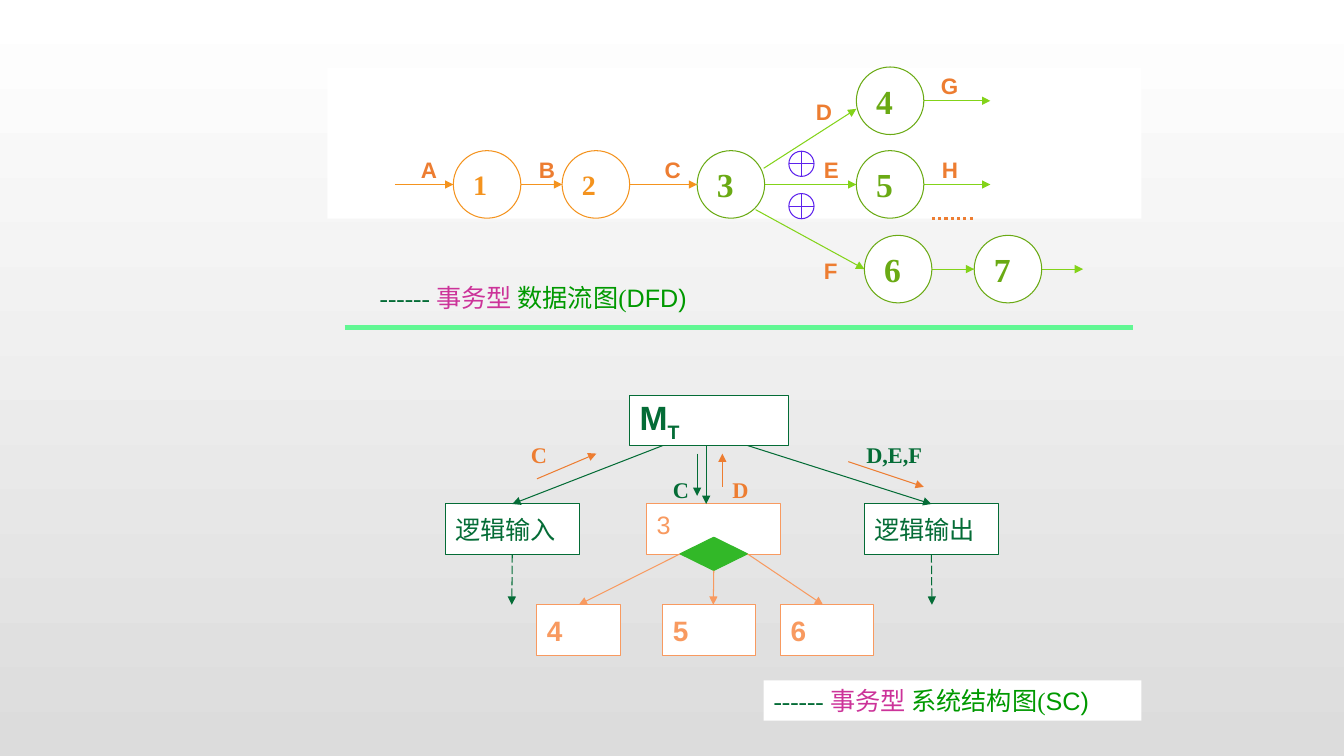
from lxml.etree import SubElement
from pptx import Presentation
from pptx.dml.color import RGBColor
from pptx.enum.dml import MSO_LINE
from pptx.enum.shapes import MSO_CONNECTOR, MSO_SHAPE
from pptx.enum.text import MSO_ANCHOR, MSO_AUTO_SIZE, PP_ALIGN
from pptx.oxml.ns import qn
from pptx.util import Inches, Pt

COLORS = {
    "white": "FFFFFF", "shade": "DCDCDC", "amber": "F4931E", "leaf": "6AAA14",
    "lime": "83D319", "orange": "ED7D31", "violet": "5C22EC", "pine": "046C36",
    "peach": "F89A60", "diamond": "32B828", "mint": "61F793", "pink": "CC3399",
    "green": "009900",
}
SERIF, SANS, CHINESE = "Times New Roman", "Arial", "Noto Sans CJK SC"

# Data flow diagram
DIAMETER = 0.67
ROWS = [1, 1.83, 2.67]  # centre heights
NODES = {  # number: left, row, colour, text size
    "1": (4.5, 1, "amber", 20), "2": (5.58, 1, "amber", 20),
    "3": (6.92, 1, "leaf", 24), "4": (8.5, 0, "leaf", 24),
    "5": (8.5, 1, "leaf", 24), "6": (8.58, 2, "leaf", 24),
    "7": (9.67, 2, "leaf", 24),
}
FLOWS = [  # node or x where it starts, node or x where it ends, colour
    (3.92, "1", "amber"), ("1", "2", "amber"), ("2", "3", "amber"),
    ("3", "5", "lime"), ("6", "7", "lime"), ("4", 9.83, "lime"),
    ("5", 9.83, "lime"), ("7", 10.75, "lime"),
]
BRANCHES = [((7.5, 2.08), (8.58, 2.67)), ((7.58, 1.67), (8.5, 1.08))]
CHOICE_TOPS = [1.92, 1.5]
FLOW_LABELS = [
    ("A", 4.08, 1.5), ("B", 5.25, 1.5), ("C", 6.5, 1.5), ("D", 8, 0.92),
    ("E", 8.08, 1.5), ("F", 8.08, 2.5), ("G", 9.24, 0.67), ("H", 9.25, 1.5),
]

# Structure chart
BOX_HEIGHT = 0.5
BOXES = {  # key: text, left, top, width, colour, size, font, bold
    "main": ("M", 6.25, 3.92, 1.58, "pine", 24, SANS, True),
    "input": ("逻辑输入", 4.42, 5, 1.33, "pine", 18, CHINESE, False),
    "centre": ("3", 6.42, 5, 1.33, "peach", 18, SANS, False),
    "output": ("逻辑输出", 8.58, 5, 1.33, "pine", 18, CHINESE, False),
    "four": ("4", 5.33, 6, 0.83, "peach", 20, SANS, True),
    "five": ("5", 6.58, 6, 0.92, "peach", 20, SANS, True),
    "six": ("6", 7.75, 6, 0.92, "peach", 20, SANS, True),
}
TOP, LEFT, BOTTOM, RIGHT = range(4)
CALLS = [  # start, end, colour, joined start, joined end
    ((7.01, 4.42), (7.01, 5), "pine", None, None),
    ((7.42, 4.42), (9.25, 5), "pine", None, ("output", TOP)),
    ((6.58, 4.42), (5.08, 5), "pine", None, ("input", TOP)),
    ((7.08, 5.67), (7.08, 6), "peach", ("decision", BOTTOM), None),
    ((7.42, 5.5), (8.17, 6), "peach", ("decision", RIGHT), None),
    ((6.75, 5.5), (5.75, 6), "peach", ("decision", LEFT), ("four", TOP)),
]
DASHED_CALLS = [("input", 5.08), ("output", 9.25)]
DATA_ARROWS = [
    ((5.33, 4.75), (5.92, 4.5), "orange"), ((6.92, 4.5), (6.92, 4.92), "pine"),
    ((7.17, 4.83), (7.17, 4.5), "orange"), ((8.42, 4.58), (9.17, 4.83), "orange"),
]
DATA_LABELS = [
    ("C", 5.17, 4.33, 0.36, "orange"), ("D", 7.17, 4.67, 0.36, "orange"),
    ("C", 6.58, 4.67, 0.36, "pine"), ("D,E,F", 8.5, 4.33, 1.08, "pine"),
]
CAPTIONS = [  # left, top, topic, abbreviation, fill
    (3.67, 2.75, "数据流图(", "DFD)", None),
    (7.58, 6.75, "系统结构图(", "SC)", "white"),
]


def rgb(name):
    return RGBColor.from_string(COLORS[name])


def add_shape(kind, left, top, width, height, fill, line=None):
    shape = page.shapes.add_shape(
        kind, Inches(left), Inches(top), Inches(width), Inches(height))
    shape.shadow.inherit = False
    shape.fill.solid()
    shape.fill.fore_color.rgb = rgb(fill)
    if line:
        shape.line.color.rgb = rgb(line)
        shape.line.width = Pt(0.75)
    else:
        shape.line.fill.background()
    return shape


def write(shape, text, size, font, color, bold=False, anchor=MSO_ANCHOR.MIDDLE):
    frame = shape.text_frame
    frame.word_wrap = False
    frame.vertical_anchor = anchor
    paragraph = frame.paragraphs[0]
    paragraph.alignment = PP_ALIGN.LEFT
    paragraph.add_run().text = text
    paragraph.font.size = Pt(size)
    paragraph.font.name = font
    paragraph.font.bold = bold
    paragraph.font.color.rgb = rgb(color)
    defaults = paragraph._p.pPr.find(qn("a:defRPr"))
    SubElement(defaults, qn("a:ea")).set("typeface", CHINESE)
    return paragraph


def add_label(text, left, top, width, size, font, color, bold=True):
    box = page.shapes.add_textbox(
        Inches(left), Inches(top), Inches(width), Inches(0.37))
    paragraph = write(box, text, size, font, color, bold, MSO_ANCHOR.TOP)
    box.text_frame.auto_size = MSO_AUTO_SIZE.SHAPE_TO_FIT_TEXT
    return box, paragraph


def add_line(start, end, color, width=0.75, dash=None, arrow=True):
    line = page.shapes.add_connector(
        MSO_CONNECTOR.STRAIGHT, *(Inches(value) for value in (*start, *end)))
    line.line.color.rgb = rgb(color)
    line.line.width = Pt(width)
    if dash:
        line.line.dash_style = dash
    properties = line._element.spPr
    if arrow:
        SubElement(properties.find(qn("a:ln")), qn("a:tailEnd")).set("type", "triangle")
    SubElement(properties, qn("a:effectLst"))
    return line


def draw_data_flow():
    add_shape(MSO_SHAPE.RECTANGLE, 3.25, 0.67, 8.08, 1.5, "white")
    for source, target, color in FLOWS:
        row = NODES[source if source in NODES else target][1]
        start = NODES[source][0] + DIAMETER if source in NODES else source
        end = NODES[target][0] if target in NODES else target
        add_line((start, ROWS[row]), (end, ROWS[row]), color)
    for start, end in BRANCHES:
        add_line(start, end, "lime")
    add_line((9.25, 2.17), (9.67, 2.17), "orange", 2.25, MSO_LINE.ROUND_DOT, False)
    for top in CHOICE_TOPS:
        add_shape(MSO_SHAPE.FLOWCHART_OR, 7.83, top, 0.25, 0.25, "white", "violet")
    for number, (left, row, color, size) in NODES.items():
        circle = add_shape(MSO_SHAPE.OVAL, left, ROWS[row] - DIAMETER / 2,
                           DIAMETER, DIAMETER, "white", color)
        write(circle, number, size, SERIF, color, True)
    for text, left, top in FLOW_LABELS:
        add_label(text, left, top, 0.36, 16, SANS, "orange")


def draw_structure():
    shapes = {}
    for key, (text, left, top, width, color, size, font, bold) in BOXES.items():
        shapes[key] = add_shape(MSO_SHAPE.RECTANGLE, left, top, width, BOX_HEIGHT,
                                "white", color)
        anchor = MSO_ANCHOR.TOP if key == "centre" else MSO_ANCHOR.MIDDLE
        paragraph = write(shapes[key], text, size, font, color, bold, anchor)
        if key == "main":
            subscript = paragraph.add_run()
            subscript.text = "T"
            subscript._r.get_or_add_rPr().set("baseline", "-25000")
    shapes["decision"] = add_shape(
        MSO_SHAPE.FLOWCHART_DECISION, 6.75, 5.33, 0.67, 0.33, "diamond", "diamond")
    for start, end, color, source, target in CALLS:
        line = add_line(start, end, color)
        if source:
            line.begin_connect(shapes[source[0]], source[1])
        if target:
            line.end_connect(shapes[target[0]], target[1])
    for key, x in DASHED_CALLS:
        line = add_line((x, 5.5), (x, 6), "pine", dash=MSO_LINE.LONG_DASH)
        line.begin_connect(shapes[key], BOTTOM)
    for start, end, color in DATA_ARROWS:
        add_line(start, end, color)
    for text, left, top, width, color in DATA_LABELS:
        add_label(text, left, top, width, 16, SERIF, color)


def draw_captions():
    add_line((3.42, 3.25), (11.25, 3.25), "mint", 3, arrow=False)
    for left, top, topic, abbreviation, fill in CAPTIONS:
        box, paragraph = add_label("------ ", left, top, 3.75, 18, SERIF, "pine", False)
        box.height = Inches(0.4)
        box.text_frame.word_wrap = True
        if fill:
            box.fill.solid()
            box.fill.fore_color.rgb = rgb(fill)
        for text, color, font in [("事务型 ", "pink", SERIF), (topic, "green", SERIF),
                                  (abbreviation, "green", SANS)]:
            span = paragraph.add_run()
            span.text = text
            span.font.color.rgb = rgb(color)
            span.font.name = font


deck = Presentation()
deck.slide_width, deck.slide_height = Inches(13.34), Inches(7.5)
page = deck.slides.add_slide(deck.slide_layouts[6])
backdrop = page.background.fill
backdrop.gradient()
backdrop.gradient_angle = 270
for stop, name in zip(backdrop.gradient_stops, ("white", "shade")):
    stop.color.rgb = rgb(name)
draw_data_flow()
draw_structure()
draw_captions()
deck.save("out.pptx")
